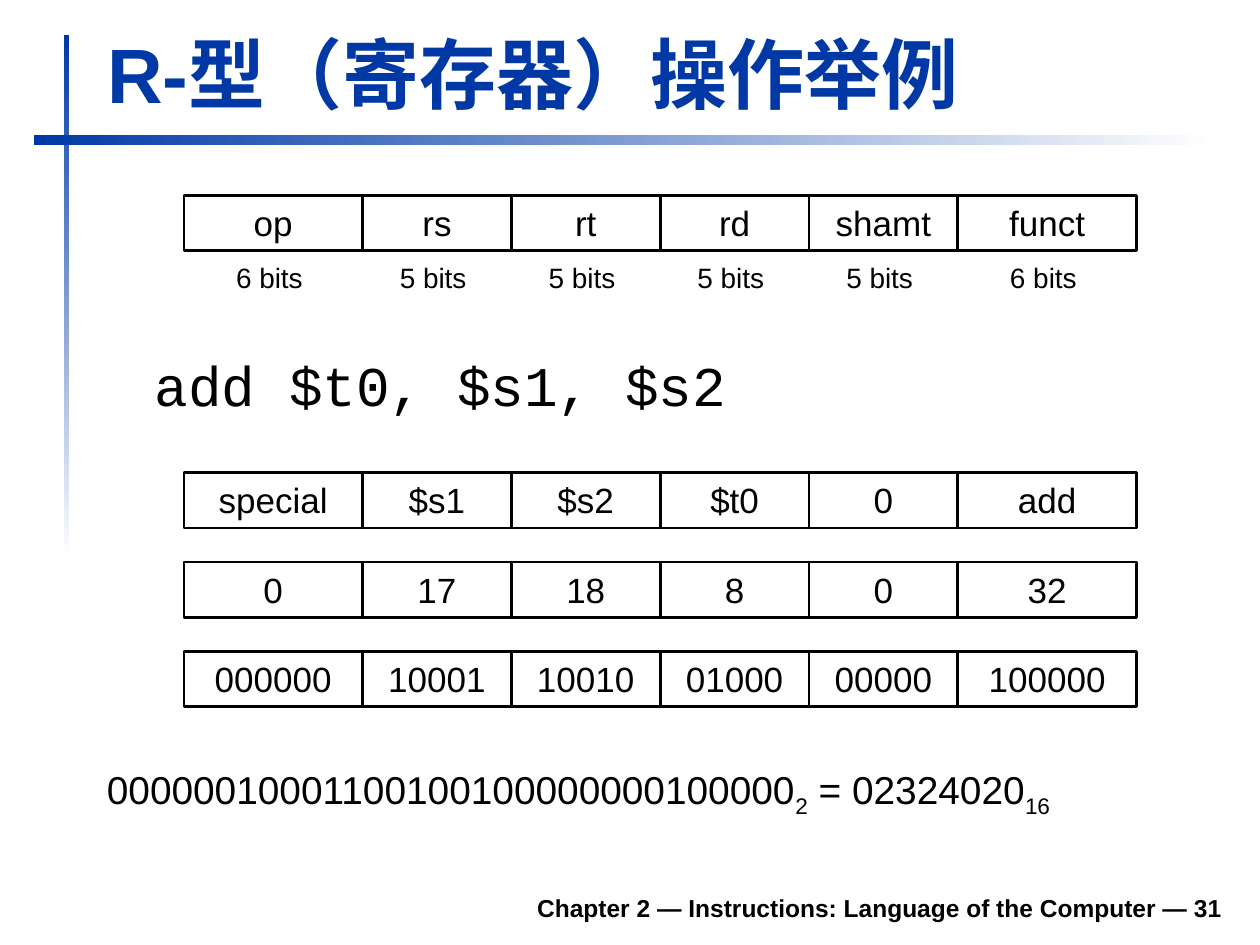
import pptx
import pptx.dml.color
import pptx.enum.shapes
import pptx.enum.text
import pptx.util

Inches = pptx.util.Inches
Pt = pptx.util.Pt
Align = pptx.enum.text.PP_ALIGN
Anchor = pptx.enum.text.MSO_ANCHOR
BLUE = pptx.dml.color.RGBColor(0x00, 0x39, 0xA6)
WHITE = pptx.dml.color.RGBColor(0xFF, 0xFF, 0xFF)
BLACK = pptx.dml.color.RGBColor(0x00, 0x00, 0x00)

FIELD_BITS = [6, 5, 5, 5, 5, 6]
FIELD_NAMES = ["op", "rs", "rt", "rd", "shamt", "funct"]
ENCODINGS = [
    ["special", "$s1", "$s2", "$t0", "0", "add"],
    ["0", "17", "18", "8", "0", "32"],
    ["000000", "10001", "10010", "01000", "00000", "100000"],
]
WORD_LEFT, WORD_WIDTH, FIELD_HEIGHT = 1.46, 7.56, 0.44
ENCODING_TOP, ENCODING_PITCH = 3.75, 0.71


def style(paragraph, size, color=BLACK, name="Arial", bold=False, align=Align.LEFT):
    """Set the font and alignment of a whole paragraph."""
    paragraph.alignment = align
    paragraph.font.size = Pt(size)
    paragraph.font.name = name
    paragraph.font.bold = bold
    paragraph.font.color.rgb = color


def add_rectangle(shapes, box):
    """Add a shadowless rectangle in a box given in inches."""
    rectangle = shapes.add_shape(
        pptx.enum.shapes.MSO_SHAPE.RECTANGLE, *map(Inches, box))
    rectangle.shadow.inherit = False
    return rectangle


def add_text(shapes, box, text, size, **font):
    """Add a wrapped one-paragraph text box and return its paragraph."""
    frame = shapes.add_textbox(*map(Inches, box)).text_frame
    frame.word_wrap = True
    line = frame.paragraphs[0]
    line.text = text
    style(line, size, **font)
    return line


def add_rule(shapes, box, angle):
    """Add a decorative bar that fades from blue to white."""
    rule = add_rectangle(shapes, box)
    rule.line.fill.background()
    rule.fill.gradient()
    rule.fill.gradient_angle = angle
    for stop, color, position in zip(rule.fill.gradient_stops, (BLUE, WHITE), (0, 1)):
        stop.color.rgb = color
        stop.position = position


def add_title(slide, box, text):
    """Place and format the title placeholder."""
    title = slide.shapes.title
    title.left, title.top, title.width, title.height = map(Inches, box)
    frame = title.text_frame
    frame.text = text
    frame.vertical_anchor = Anchor.BOTTOM
    frame.auto_size = pptx.enum.text.MSO_AUTO_SIZE.NONE
    style(frame.paragraphs[0], 44, color=BLUE, bold=True)


def field_spans(left, width):
    """Yield the left edge and width of each field, in proportion to its bits."""
    for bits in FIELD_BITS:
        span = width * bits / sum(FIELD_BITS)
        yield left, span
        left += span


def add_word(shapes, box, values):
    """Draw one instruction word as a row of outlined fields."""
    left, top, width, height = box
    for value, (x, span) in zip(values, field_spans(left, width)):
        field = add_rectangle(shapes, (x, top, span, height))
        field.fill.background()
        field.line.color.rgb = BLACK
        field.line.width = Pt(1.5)
        field.text_frame.text = value
        field.text_frame.vertical_anchor = Anchor.TOP
        style(field.text_frame.paragraphs[0], 20, align=Align.CENTER)


def add_format(slide, box):
    """Draw the named fields with their bit counts underneath, as one group."""
    left, top, width, height = box
    shapes = slide.shapes.add_group_shape().shapes
    add_word(shapes, (left, top, width, FIELD_HEIGHT), FIELD_NAMES)
    label_height = 0.37
    for bits, (x, span) in zip(FIELD_BITS, field_spans(left, width)):
        add_text(shapes, (x - 0.03, top + height - label_height, span, label_height),
                 f"{bits} bits", 16, align=Align.CENTER)


def add_result(shapes, box):
    """Write the binary word and its hexadecimal value with base subscripts."""
    equation = add_text(shapes, box, "", 22.2)
    for digits, base in [("00000010001100100100000000100000", "2"),
                         (" = 02324020", "16")]:
        equation.add_run().text = digits
        subscript = equation.add_run()
        subscript.text = base
        subscript.font._element.set("baseline", "-25000")


def main():
    """Build the slide and save it."""
    deck = pptx.Presentation()
    deck.slide_width, deck.slide_height = Inches(10), Inches(7.5)
    slide = deck.slides.add_slide(deck.slide_layouts[5])
    shapes = slide.shapes

    add_rule(shapes, (0.51, 0.28, 0.04, 4.17), 270)
    add_rule(shapes, (0.27, 1.07, 9.37, 0.08), 0)
    add_title(slide, (0.75, 0.15, 9.03, 0.84), "R-型（寄存器）操作举例")
    add_format(slide, (WORD_LEFT, 1.55, WORD_WIDTH, 0.84))
    add_text(shapes, (1.13, 2.73, 8.66, 0.71), "add $t0, $s1, $s2", 32,
             name="Courier New").space_before = Pt(8)
    for row, values in enumerate(ENCODINGS):
        top = ENCODING_TOP + row * ENCODING_PITCH
        add_word(shapes, (WORD_LEFT, top, WORD_WIDTH, FIELD_HEIGHT), values)
    add_result(shapes, (0.75, 6.03, 8.9, 0.55))
    add_text(shapes, (1.85, 6.98, 7.95, 0.39),
             "Chapter 2 — Instructions: Language of the Computer — 31", 14,
             bold=True, align=Align.RIGHT
             )
    shapes[-1].text_frame.vertical_anchor = Anchor.BOTTOM
    deck.save("out.pptx")


if __name__ == "__main__":
    main()
